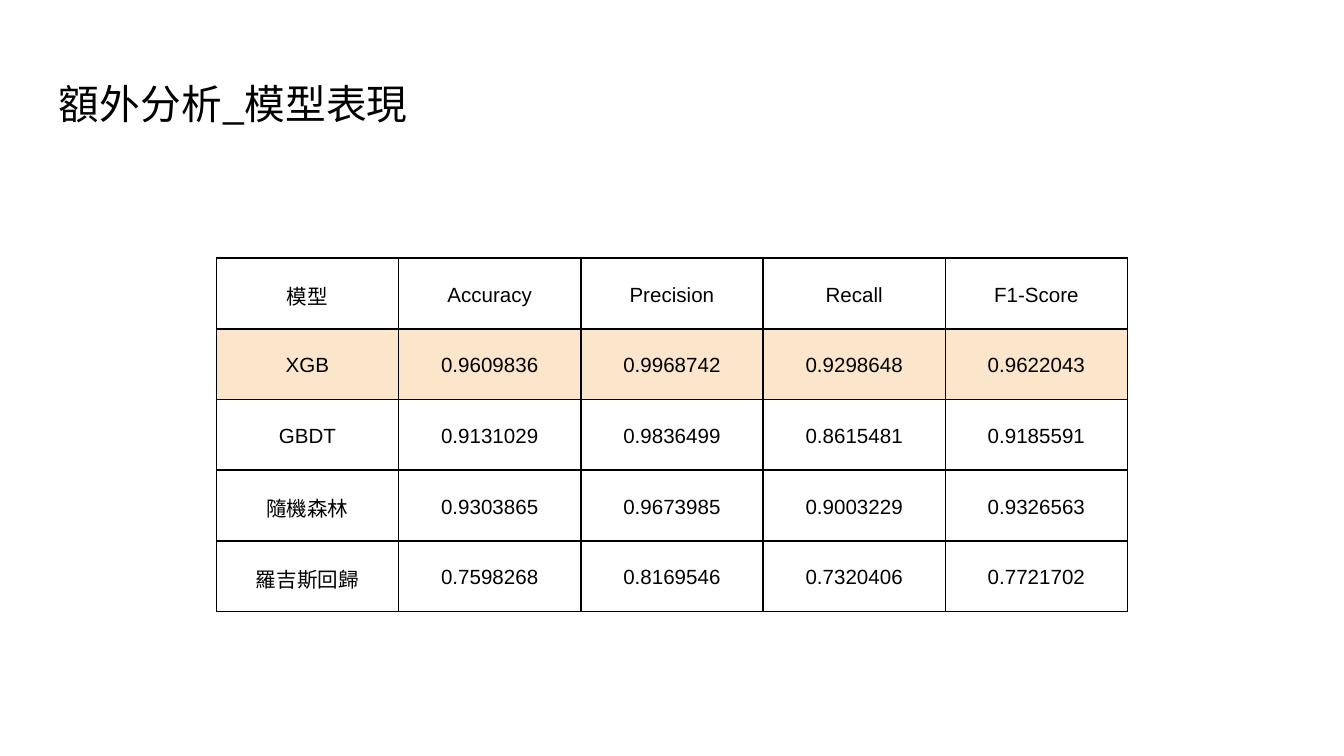
"""Build a slide with a table comparing the performance of four models."""
from lxml.etree import SubElement
from pptx import Presentation
from pptx.dml.color import RGBColor
from pptx.enum.text import MSO_ANCHOR, PP_ALIGN
from pptx.oxml.ns import qn
from pptx.util import Inches, Pt

TITLE = "額外分析_模型表現"
SCORES = [
    ("模型", "Accuracy", "Precision", "Recall", "F1-Score"),
    ("XGB", "0.9609836", "0.9968742", "0.9298648", "0.9622043"),
    ("GBDT", "0.9131029", "0.9836499", "0.8615481", "0.9185591"),
    ("隨機森林", "0.9303865", "0.9673985", "0.9003229", "0.9326563"),
    ("羅吉斯回歸", "0.7598268", "0.8169546", "0.7320406", "0.7721702"),
]
BEST_MODEL = "XGB"
BLACK, WHITE, ORANGE = "000000", "FFFFFF", "EF8600"
TITLE_FONT, TABLE_FONT = "Noto Sans CJK TC", "Arial"
WIDTH = 10
HEIGHT = WIDTH * 9 / 16
MARGIN, TITLE_TOP, TITLE_HEIGHT = 0.34, 0.49, 0.63
TABLE_TOP, TABLE_WIDTH, TABLE_HEIGHT = 1.92, 6.78, 2.63
CELL_MARGIN = 0.07


def color(value):
    return RGBColor.from_string(value)


def style(text, font_name, size):
    font = text.font
    font.name, font.size = font_name, Pt(size)
    font.color.rgb = color(BLACK)


def add_title(slide):
    title = slide.shapes.add_textbox(Inches(MARGIN), Inches(TITLE_TOP),
                                     Inches(WIDTH - 2 * MARGIN), Inches(TITLE_HEIGHT))
    frame = title.text_frame
    frame.word_wrap = True
    frame.margin_left = frame.margin_right = Inches(0.1)
    frame.margin_top = frame.margin_bottom = Inches(0.1)
    heading = frame.paragraphs[0]
    heading.text = TITLE
    style(heading, TITLE_FONT, 21.8)
    SubElement(heading.font._element, qn("a:ea"), typeface=TITLE_FONT)


def add_borders(cell):
    properties = cell._tc.get_or_add_tcPr()
    for side in ("lnL", "lnR", "lnT", "lnB"):
        line = SubElement(properties, qn(f"a:{side}"), w=str(Pt(1)))
        fill = SubElement(line, qn("a:solidFill"))
        SubElement(fill, qn("a:srgbClr"), val=BLACK)


def tint(cell, value):
    cell.fill.solid()
    cell.fill.fore_color.rgb = color(value)
    swatch = cell._tc.tcPr.find(f"{qn('a:solidFill')}/{qn('a:srgbClr')}")
    SubElement(swatch, qn("a:alpha"), val="20000")


def fill_cell(cell, text, background):
    cell.text = text
    cell.vertical_anchor = MSO_ANCHOR.MIDDLE
    cell.margin_left = cell.margin_right = Inches(CELL_MARGIN)
    cell.margin_top = cell.margin_bottom = Inches(CELL_MARGIN)
    paragraph = cell.text_frame.paragraphs[0]
    paragraph.alignment = PP_ALIGN.CENTER
    paragraph.line_spacing = 1.15
    style(paragraph, TABLE_FONT, 11)
    add_borders(cell)
    tint(cell, background)


def add_scores(slide):
    table = slide.shapes.add_table(len(SCORES), len(SCORES[0]),
                                   Inches((WIDTH - TABLE_WIDTH) / 2), Inches(TABLE_TOP),
                                   Inches(TABLE_WIDTH), Inches(TABLE_HEIGHT)).table
    table.first_row = table.horz_banding = False
    for r, scores in enumerate(SCORES):
        background = ORANGE if scores[0] == BEST_MODEL else WHITE
        for c, text in enumerate(scores):
            fill_cell(table.cell(r, c), text, background)


def main():
    deck = Presentation()
    deck.slide_width, deck.slide_height = Inches(WIDTH), Inches(HEIGHT)
    slide = deck.slides.add_slide(deck.slide_layouts[6])
    add_title(slide)
    add_scores(slide)
    deck.save("out.pptx")


if __name__ == "__main__":
    main()
